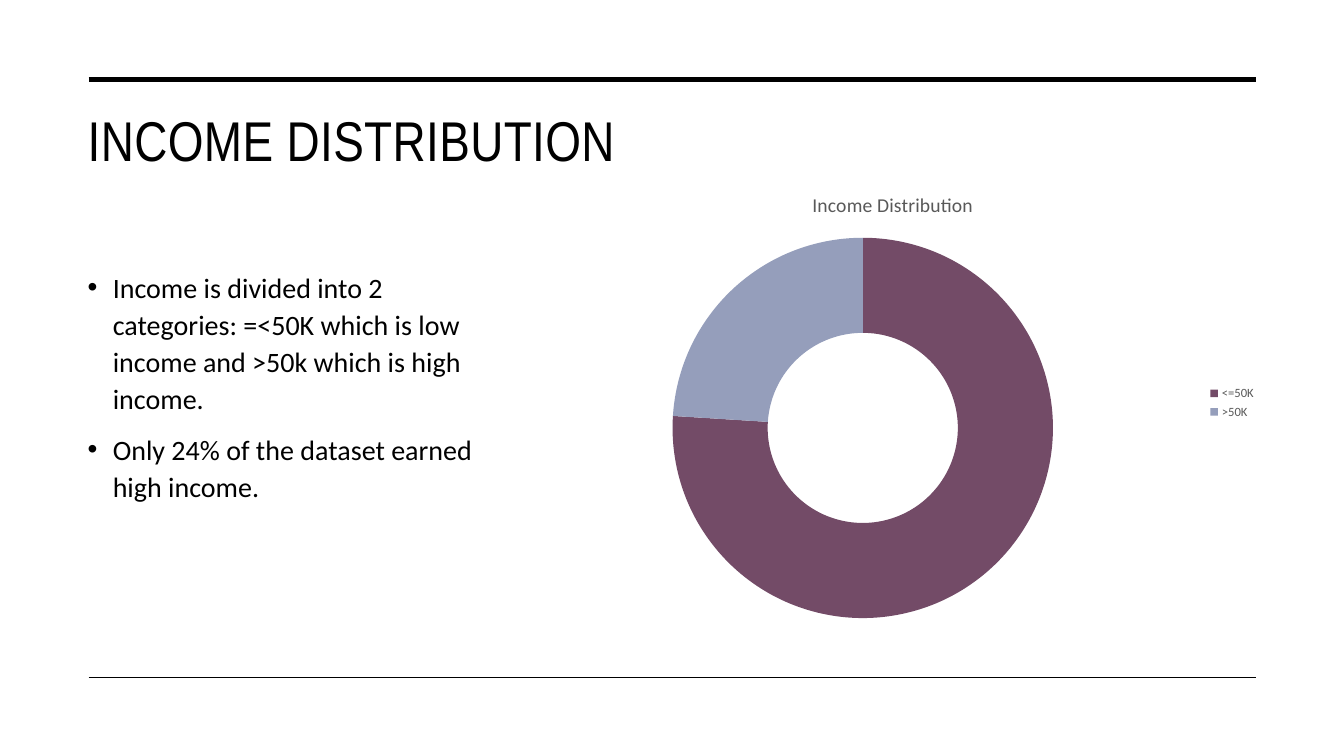
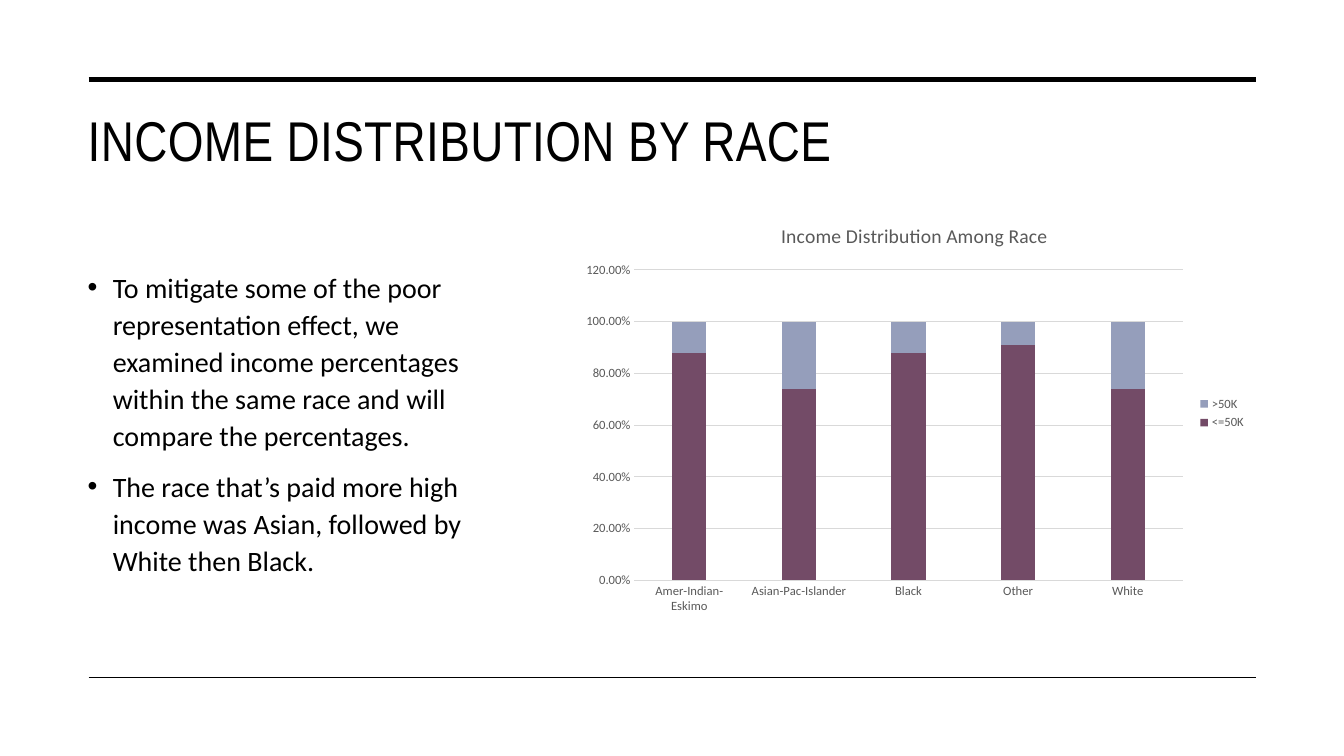
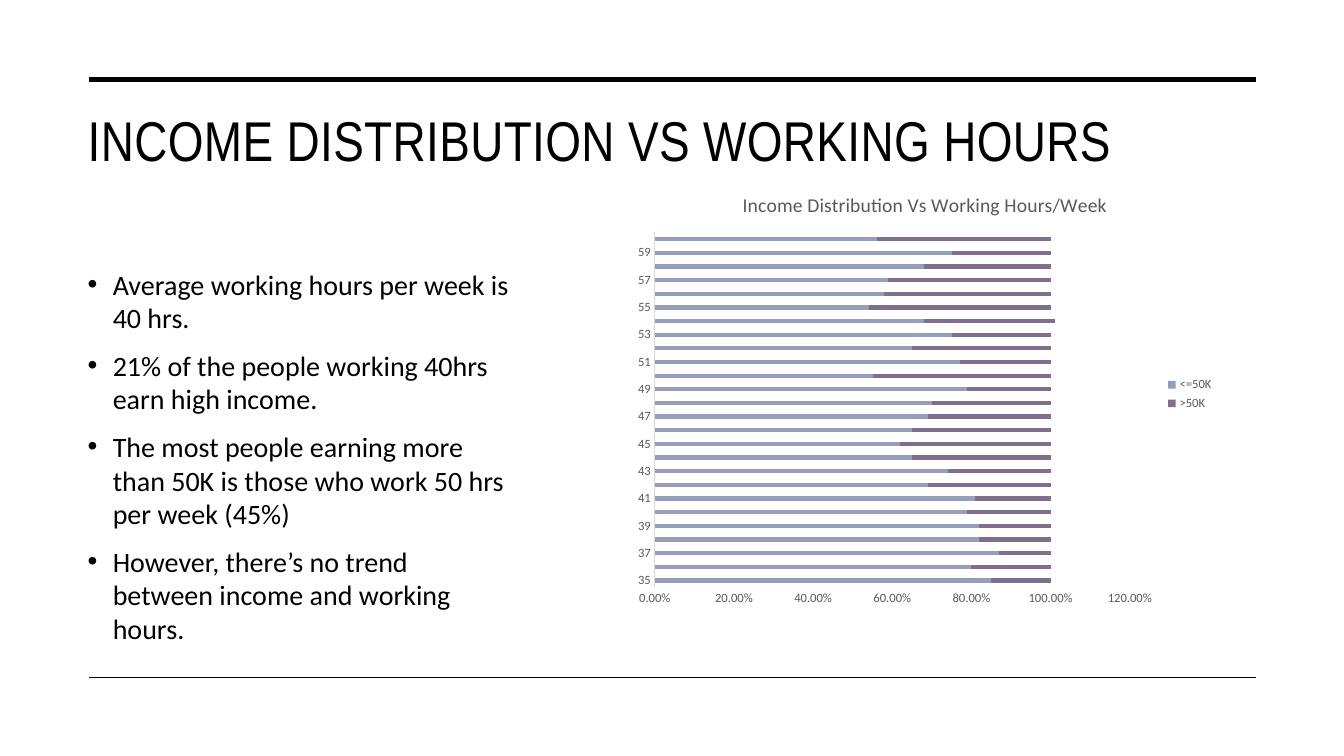
from pptx import Presentation
from pptx.chart.data import CategoryChartData
from pptx.dml.color import RGBColor
from pptx.enum.chart import XL_CHART_TYPE, XL_LEGEND_POSITION, XL_TICK_MARK
from pptx.enum.shapes import MSO_CONNECTOR
from pptx.enum.text import MSO_ANCHOR, MSO_AUTO_SIZE, PP_ALIGN
from pptx.oxml.ns import qn
from pptx.util import Pt
from lxml import etree

RING = XL_CHART_TYPE.DOUGHNUT
COLS = XL_CHART_TYPE.COLUMN_STACKED
BARS = XL_CHART_TYPE.BAR_STACKED
RIGHT = XL_LEGEND_POSITION.RIGHT
NO_TICK = XL_TICK_MARK.NONE
STRAIGHT = MSO_CONNECTOR.STRAIGHT
TOP = MSO_ANCHOR.TOP
NO_FIT = MSO_AUTO_SIZE.NONE
LEFT = PP_ALIGN.LEFT

# Shared look: 100 px to the inch
SCALE = 9144
SIZE = (1333, 750)
BLACK, GREY, PALE = "000000", "595959", "D9D9D9"
PLUM, BLUE, MAUVE = "734B67", "959EBB", "7F6E8C"
HEAD, BODY = "Arial Narrow", "Calibri"
TITLE_BOX = (77, 100, 1169, 143)
TEXT_BOX = (77, 260, 439, 392)
RULES = [(79, 3.5), (672, 1)]
RULE_X = (88, 1246)
INDENT = 25
LOW, HIGH = "<=50K", ">50K"

# Content: series are (name, colour, values)
SLIDES = [
    {
        "title": "INCOME DISTRIBUTION",
        "lead": 1.1,
        "points": [
            "Income is divided into 2 categories: =<50K which is low income "
            "and >50k which is high income.",
            "Only 24% of the dataset earned high income.",
        ],
        "chart": {
            "kind": RING, "box": (515, 172, 741, 455),
            "title": "Income Distribution",
            "cats": [LOW, HIGH],
            "series": [("Series 1", PLUM, [76, 24])],
            "slices": [PLUM, BLUE],
        },
    },
    {
        "title": "INCOME DISTRIBUTION BY RACE",
        "lead": 1.1,
        "points": [
            "To mitigate some of the poor representation effect, we examined "
            "income percentages within the same race and will compare the "
            "percentages.",
            "The race that’s paid more high income was Asian, followed by "
            "White then Black.",
        ],
        "chart": {
            "kind": COLS, "box": (568, 203, 678, 414),
            "title": "Income Distribution Among Race",
            "cats": ["Amer-Indian-Eskimo", "Asian-Pac-Islander", "Black",
                     "Other", "White"],
            "series": [
                (LOW, PLUM, [0.88, 0.74, 0.88, 0.91, 0.74]),
                (HIGH, BLUE, [0.12, 0.26, 0.12, 0.09, 0.26]),
            ],
            "grid": True,
        },
    },
    {
        "title": "INCOME DISTRIBUTION VS WORKING HOURS",
        "lead": 1.0,
        "points": [
            "Average working hours per week is 40 hrs.",
            "21% of the people working 40hrs earn high income.",
            "The most people earning more than 50K is those who work 50 hrs "
            "per week (45%)",
            "However, there’s no trend between income and working hours.",
        ],
        "chart": {
            "kind": BARS, "box": (621, 172, 593, 438),
            "title": "Income Distribution Vs Working Hours/Week",
            "cats": [str(hour) for hour in range(35, 61)],
            "series": [
                (LOW, BLUE, [
                    0.85, 0.8, 0.87, 0.82, 0.82, 0.79, 0.81, 0.69, 0.74,
                    0.65, 0.62, 0.65, 0.69, 0.7, 0.79, 0.55, 0.77, 0.65,
                    0.75, 0.68, 0.54, 0.58, 0.59, 0.68, 0.75, 0.56]),
                (HIGH, MAUVE, [
                    0.15, 0.2, 0.13, 0.18, 0.18, 0.21, 0.19, 0.31, 0.26,
                    0.35, 0.38, 0.35, 0.31, 0.3, 0.21, 0.45, 0.23, 0.35,
                    0.25, 0.33, 0.46, 0.42, 0.41, 0.32, 0.25, 0.44]),
            ],
            "grid": False,
        },
    },
]


def px(num):
    return int(num * SCALE)


def place(box):
    return [px(num) for num in box]


def paint(fill, color):
    fill.solid()
    fill.fore_color.rgb = RGBColor.from_string(color)


def style(font, name, size, color):
    font.name, font.size, font.bold = name, Pt(size), False
    font.color.rgb = RGBColor.from_string(color)


def stroke(line, color, width):
    paint(line.fill, color)
    line.width = Pt(width)


def add_rules(slide, layout):
    # Lines drawn once, then moved to the layout that all slides share
    for y, width in RULES:
        rule = slide.shapes.add_connector(
            STRAIGHT, px(RULE_X[0]), px(y), px(RULE_X[1]), px(y))
        stroke(rule.line, BLACK, width)
        etree.SubElement(rule.element.spPr, qn("a:effectLst"))
        layout.shapes.element.append(rule.element)


def set_frame(frame):
    frame.word_wrap = True
    frame.auto_size = NO_FIT
    frame.vertical_anchor = TOP


def add_title(slide, text):
    title = slide.shapes.title
    title.left, title.top, title.width, title.height = place(TITLE_BOX)
    set_frame(title.text_frame)
    para = title.text_frame.paragraphs[0]
    para.alignment = LEFT
    run = para.add_run()
    run.text = text
    style(run.font, HEAD, 40, BLACK)
    run.font.element.set("spc", "30") if hasattr(run.font, "element") else \
        run._r.get_or_add_rPr().set("spc", "30")


def add_points(slide, points, lead):
    frame = slide.shapes.add_textbox(*place(TEXT_BOX)).text_frame
    set_frame(frame)
    for i, text in enumerate(points):
        para = frame.add_paragraph() if i else frame.paragraphs[0]
        para.line_spacing = lead
        para.space_before = Pt(10 if i else 0)
        props = para._p.get_or_add_pPr()
        props.set("marL", str(px(INDENT)))
        props.set("indent", str(-px(INDENT)))
        etree.SubElement(props, qn("a:buFont"), typeface="Arial")
        etree.SubElement(props, qn("a:buChar"), char="•")
        run = para.add_run()
        run.text = text
        style(run.font, BODY, 20, BLACK)


def set_axes(chart, grid):
    cat, val = chart.category_axis, chart.value_axis
    for axis in (cat, val):
        axis.major_tick_mark = axis.minor_tick_mark = NO_TICK
        style(axis.tick_labels.font, BODY, 9, GREY)
    cat.has_major_gridlines = False
    stroke(cat.format.line, PALE, 0.75)
    val.minimum_scale, val.maximum_scale, val.major_unit = 0, 1.2, 0.2
    val.tick_labels.number_format = "0.00%"
    val.tick_labels.number_format_is_linked = False
    val.format.line.fill.background()
    val.has_major_gridlines = grid
    if grid:
        stroke(val.major_gridlines.format.line, PALE, 0.75)


def add_chart(slide, spec):
    data = CategoryChartData()
    data.categories = spec["cats"]
    for name, _, vals in spec["series"]:
        data.add_series(name, vals)
    chart = slide.shapes.add_chart(
        spec["kind"], *place(spec["box"]), data).chart
    style(chart.font, BODY, 10, BLACK)

    # Title and legend
    chart.has_title = True
    run = chart.chart_title.text_frame.paragraphs[0].add_run()
    run.text = spec["title"]
    style(run.font, BODY, 14, GREY)
    chart.has_legend = True
    chart.legend.position = RIGHT
    chart.legend.include_in_layout = False
    style(chart.legend.font, BODY, 9, GREY)

    # Ring slices, or stacked bars with axes
    plot = chart.plots[0]
    if "slices" in spec:
        plot.vary_by_categories = True
        for i, color in enumerate(spec["slices"]):
            paint(plot.series[0].points[i].format.fill, color)
    else:
        plot.vary_by_categories = False
        plot.gap_width, plot.overlap = 219, 100
        for series, (_, color, _) in zip(plot.series, spec["series"]):
            paint(series.format.fill, color)
        set_axes(chart, spec["grid"])


def main():
    deck = Presentation()
    deck.slide_width, deck.slide_height = place(SIZE)
    layout = deck.slide_layouts[5]
    for i, page in enumerate(SLIDES):
        slide = deck.slides.add_slide(layout)
        if i == 0:
            add_rules(slide, layout)
        add_title(slide, page["title"])
        add_points(slide, page["points"], page["lead"])
        add_chart(slide, page["chart"])
    deck.save("out.pptx")


if __name__ == "__main__":
    main()
